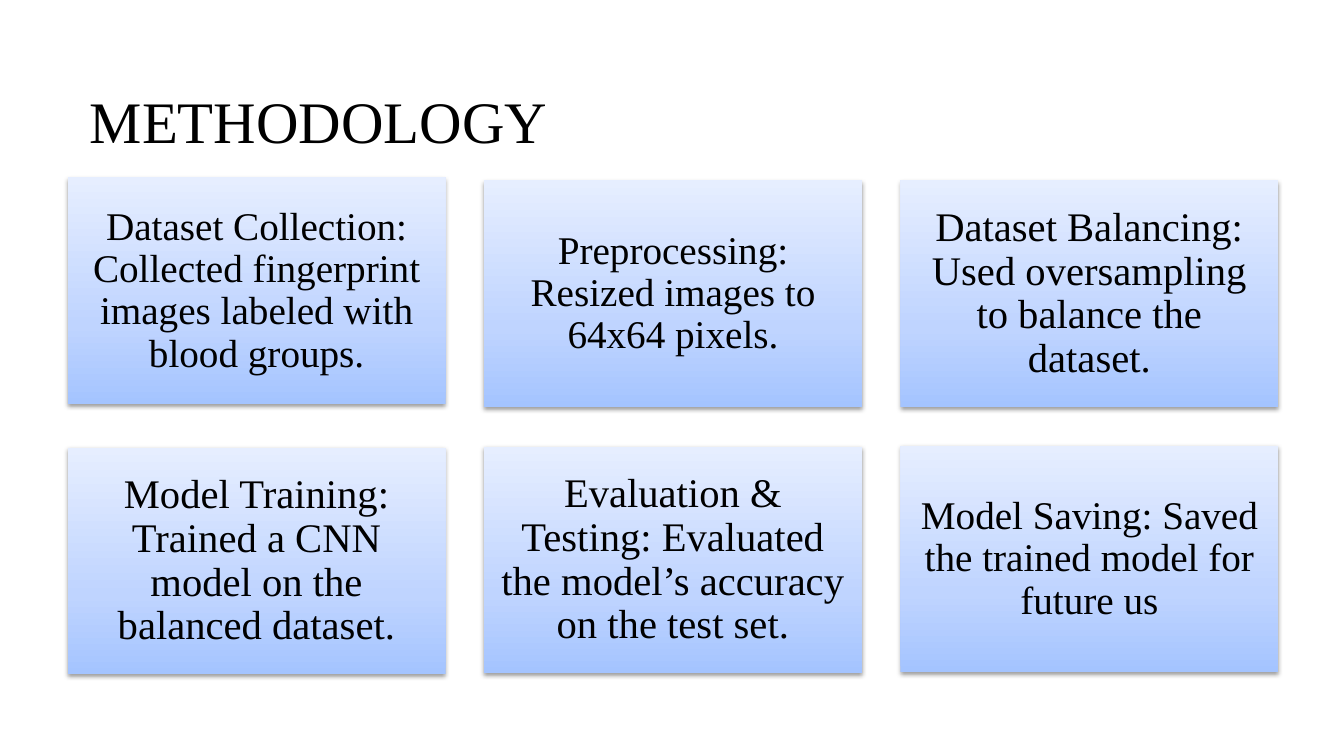
from lxml import etree
from pptx import Presentation
from pptx.dml.color import RGBColor
from pptx.enum.shapes import MSO_SHAPE
from pptx.enum.text import MSO_ANCHOR, PP_ALIGN
from pptx.oxml.ns import qn
from pptx.util import Inches, Pt

RECTANGLE = MSO_SHAPE.RECTANGLE
MIDDLE = MSO_ANCHOR.MIDDLE
LEFT, CENTER = PP_ALIGN.LEFT, PP_ALIGN.CENTER

COLORS = {"text": "000000", "deep": "A4C4FF", "mid": "BFD4FF",
          "pale": "E6EEFF", "shadow": "000000"}
FONT = "Times New Roman"
GRADIENT = [(0, "deep"), (35, "mid"), (100, "pale")]

SLIDE_W, SLIDE_H = 13.33, 7.5
MARGIN = 0.67
COLUMNS = 3
CARD_W, CARD_H = 3.75, 2.25
GAP = 0.38
GRID_TOP = 1.79

# Wording, font size, small vertical shift from the grid row
STEPS = [
    ("Dataset Collection: Collected fingerprint images labeled with blood groups.", 28, -0.03),
    ("Preprocessing: Resized images to 64x64 pixels.", 28, 0),
    ("Dataset Balancing: Used oversampling to balance the dataset.", 29, 0),
    ("Model Training: Trained a CNN model on the balanced dataset.", 29, 0.02),
    ("Evaluation & Testing: Evaluated the model’s accuracy on the test set.", 29, 0.01),
    ("Model Saving: Saved the trained model for future us", 28, 0),
]


def add_color(parent, color):
    return etree.SubElement(parent, qn("a:srgbClr"), val=COLORS[color])


def write_text(frame, wording, size, align, insets, line_spacing=1.0):
    """Set one paragraph; insets are left, top, right, bottom in inches."""
    left, top, right, bottom = map(Inches, insets)
    frame_format = {"word_wrap": True, "vertical_anchor": MIDDLE,
                    "margin_left": left, "margin_top": top,
                    "margin_right": right, "margin_bottom": bottom}
    for name, value in frame_format.items():
        setattr(frame, name, value)
    paragraph = frame.paragraphs[0]
    paragraph.alignment = align
    paragraph.line_spacing = line_spacing
    run = paragraph.add_run()
    run.text = wording
    for name, value in {"name": FONT, "size": Pt(size)}.items():
        setattr(run.font, name, value)
    run.font.color.rgb = RGBColor.from_string(COLORS["text"])


def fill_gradient(card):
    card.fill.gradient()
    card.fill.gradient_angle = 90
    stops = card._element.spPr.find(".//" + qn("a:gsLst"))
    for stop in list(stops):
        stops.remove(stop)
    for position, color in GRADIENT:
        add_color(etree.SubElement(stops, qn("a:gs"), pos=str(position * 1000)), color)


def cast_shadow(card):
    card.shadow.inherit = False
    effects = card._element.spPr.find(qn("a:effectLst"))
    shadow = etree.SubElement(effects, qn("a:outerShdw"), blurRad=str(Pt(3.1)),
                              dist=str(Pt(1.6)), dir="5400000", rotWithShape="0")
    etree.SubElement(add_color(shadow, "shadow"), qn("a:alpha"), val="38000")


def add_title(slide, left, top, width, height):
    title = slide.shapes.add_textbox(*map(Inches, (left, top, width, height)))
    write_text(title.text_frame, "METHODOLOGY", 42, LEFT, (0.22, 0.04, 0.09, 0.04))


def add_card(slide, left, top, wording, size):
    card = slide.shapes.add_shape(RECTANGLE, *map(Inches, (left, top, CARD_W, CARD_H)))
    fill_gradient(card)
    card.line.fill.background()
    cast_shadow(card)
    write_text(card.text_frame, wording, size, CENTER, (0.12,) * 4, 0.9)


def add_step_grid(slide, left, top):
    for index, (wording, size, shift) in enumerate(STEPS):
        row, column = divmod(index, COLUMNS)
        add_card(slide, left + column * (CARD_W + GAP),
                 top + row * (CARD_H + GAP) + shift, wording, size)


def main():
    deck = Presentation()
    deck.slide_width, deck.slide_height = Inches(SLIDE_W), Inches(SLIDE_H)
    slide = deck.slides.add_slide(deck.slide_layouts[6])
    add_title(slide, MARGIN, 0.63, SLIDE_W - 2 * MARGIN, 1.13)
    add_step_grid(slide, MARGIN, GRID_TOP)
    deck.save("out.pptx")


if __name__ == "__main__":
    main()
